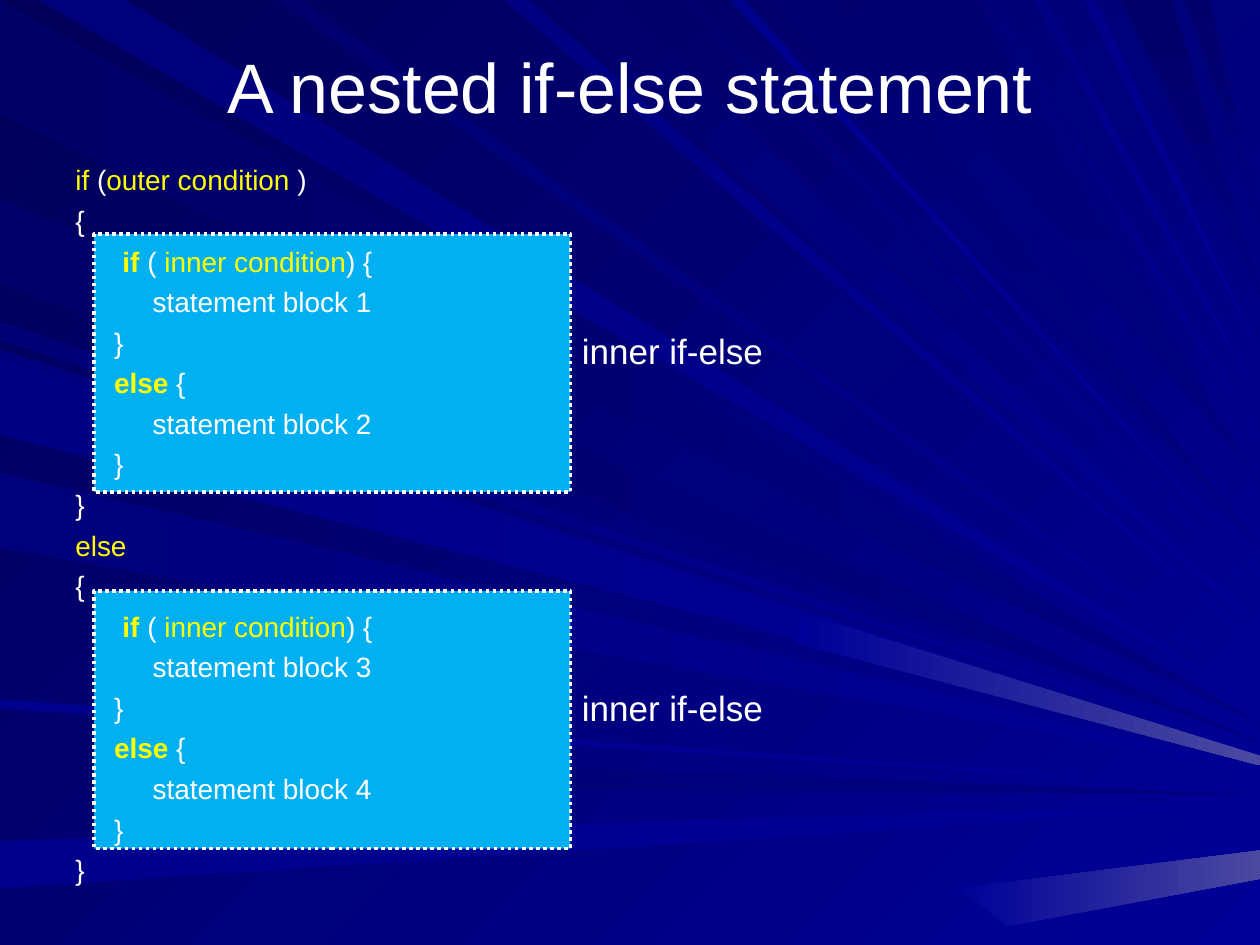
from math import sqrt

from pptx import Presentation
from pptx.dml.color import RGBColor
from pptx.enum.dml import MSO_LINE
from pptx.enum.shapes import MSO_SHAPE
from pptx.enum.text import MSO_ANCHOR, PP_ALIGN
from pptx.util import Cm, Pt

COLORS = {"white": "FFFFFF", "keyword": "FFFF00", "block": "00B0F0",
          "dark": "000058", "navy": "000080", "blue": "000099", "glow": "4A4AA1"}

# Ray foot as a percentage of the slide edge, foot width, start colour
LEFT_NAVY = [(0, 12, "000069"), (21, 9, "00006B"), (79, 4, "000071")]
LEFT_BLUE = [(34, 2, "000076"), (37, 9, "00007E"), (38, 8, "000085"),
             (50, 8, "00007B"), (74, 1, "00008E"), (89, 5, "00008C")]
TOP_NAVY = [(61, 5, "000073"), (69, 8, "000073"), (89, 4, "00006B"), (94, 2, "00006D")]
TOP_BLUE = [(3, 7, "00007B"), (22, 2, "000070"), (40, 2, "000083"), (43, 6, "00006D"),
            (54, 1, "000073"), (58, 1, "00008E"), (78, 1, "000078"), (82, 1, "000085"),
            (86, 1, "00008A")]


class SlideBuilder:
    font_name = "Arial"
    width, height = 25.4, 19.05

    def __init__(self, slide):
        self.slide = slide

    def paint(self, fill, start, end, angle):
        """Fill with a gradient turned clockwise by angle."""
        fill.gradient()
        fill.gradient_angle = (360 - angle) % 360
        for stop, color in zip(fill.gradient_stops, (start, end)):
            stop.color.rgb = RGBColor.from_string(color)

    def background(self, start, end, angle):
        self.paint(self.slide.background.fill, start, end, angle)

    def polygon(self, corners, start, end, angle):
        """Draw an outline whose corners are given as fractions of the slide."""
        points = [(Cm(x * self.width), Cm(y * self.height)) for x, y in corners]
        builder = self.slide.shapes.build_freeform(*points[0])
        builder.add_line_segments(points[1:], close=True)
        shape = builder.convert_to_shape()
        shape.shadow.inherit = False
        shape.line.fill.background()
        self.paint(shape.fill, start, end, angle)

    def left_rays(self, rays, end):
        """Rays from the left edge, with tips spread evenly on the right edge."""
        for foot, width, start in rays:
            near, far = foot / 100, (foot + width) / 100
            tip = 0.76 + (near + far) / 20
            self.polygon([(0, near), (0, far), (1, tip)], start, end, 0)

    def top_rays(self, rays, end, angle):
        """Rays from the top edge, with tips rising along a quarter ellipse."""
        for foot, width, start in rays:
            near, far = foot / 100, (foot + width) / 100
            tip = 0.75 * sqrt(1 - ((near + far) / 2) ** 2)
            self.polygon([(near, 0), (far, 0), (1, tip)], start, end, angle)

    def dotted_box(self, left, top, width, height):
        shape = self.slide.shapes.add_shape(
            MSO_SHAPE.RECTANGLE, Cm(left), Cm(top), Cm(width), Cm(height))
        shape.shadow.inherit = False
        shape.fill.solid()
        shape.fill.fore_color.rgb = RGBColor.from_string(COLORS["block"])
        shape.line.color.rgb = RGBColor.from_string(COLORS["white"])
        shape.line.width = Pt(2)
        shape.line.dash_style = MSO_LINE.ROUND_DOT

    def format_font(self, font, size, color="white", bold=False):
        font.name = self.font_name
        font.size = Pt(size)
        font.bold = bold
        font.color.rgb = RGBColor.from_string(COLORS[color])

    def text_box(self, left, top, width, height, wrap=True):
        shape = self.slide.shapes.add_textbox(Cm(left), Cm(top), Cm(width), Cm(height))
        shape.text_frame.word_wrap = wrap
        return shape.text_frame

    def title(self, text, *place):
        text_frame = self.text_box(*place)
        text_frame.text = text
        text_frame.vertical_anchor = MSO_ANCHOR.MIDDLE
        paragraph = text_frame.paragraphs[0]
        paragraph.alignment = PP_ALIGN.CENTER
        self.format_font(paragraph.runs[0].font, 40)

    def label(self, text, *place):
        text_frame = self.text_box(*place, wrap=False)
        text_frame.text = text
        self.format_font(text_frame.paragraphs[0].runs[0].font, 20)

    def code(self, lines, *place):
        """Write lines of (text, colour, bold) pieces with a hanging indent."""
        text_frame = self.text_box(*place)
        for number, pieces in enumerate(lines):
            paragraph = text_frame.add_paragraph() if number else text_frame.paragraphs[0]
            properties = paragraph._p.get_or_add_pPr()
            properties.set("marL", str(Cm(0.95)))
            properties.set("indent", str(-Cm(0.95)))
            if number:
                paragraph.space_before = Pt(4)
            for text, color, bold in pieces:
                run = paragraph.add_run()
                run.text = text
                self.format_font(run.font, 16, color, bold)


def plain(text):
    return text, "white", False


def yellow(text, bold=False):
    return text, "keyword", bold


def inner_if_else(first_number):
    return [
        [plain("\t"), yellow("if", True), plain(" ( "), yellow("inner condition"), plain(") {")],
        [plain(f"          statement block {first_number}")],
        [plain("     }")],
        [plain("     "), yellow("else", True), plain(" {")],
        [plain(f"          statement block {first_number + 1}")],
        [plain("     }")],
    ]


def main():
    presentation = Presentation()
    presentation.slide_width = Cm(SlideBuilder.width)
    presentation.slide_height = Cm(SlideBuilder.height)
    builder = SlideBuilder(presentation.slides.add_slide(presentation.slide_layouts[6]))

    navy, blue, glow = COLORS["navy"], COLORS["blue"], COLORS["glow"]
    builder.background(COLORS["dark"], blue, 45)
    builder.left_rays(LEFT_NAVY, navy)
    builder.top_rays(TOP_BLUE, blue, 45)
    builder.top_rays(TOP_NAVY, navy, 90)
    builder.left_rays(LEFT_BLUE, blue)
    builder.polygon([(0.63, 0.68), (0.64, 0.65), (1, 0.8), (1, 0.81)], blue, glow, 0)
    builder.polygon([(0.8, 0.98), (0.76, 0.94), (1, 0.9), (1, 0.93)], blue, glow, 0)

    box_tops = (4.72, 11.91)
    for top in box_tops:
        builder.dotted_box(1.9, top, 9.6, 5.2)

    builder.title("A nested if-else statement", 1.27, 0.13, 22.86, 3.18)
    opening, closing = [plain("{")], [plain("}")]
    builder.code(
        [[yellow("if"), plain(" ("), yellow("outer condition "), plain(")")],
         opening, *inner_if_else(1), closing,
         [yellow("else")],
         opening, *inner_if_else(3), closing],
        1.27, 3.16, 22.86, 17)
    for top in box_tops:
        builder.label("inner if-else", 11.48, top + 1.8, 4.2, 1.11)

    presentation.save("out.pptx")


if __name__ == "__main__":
    main()
